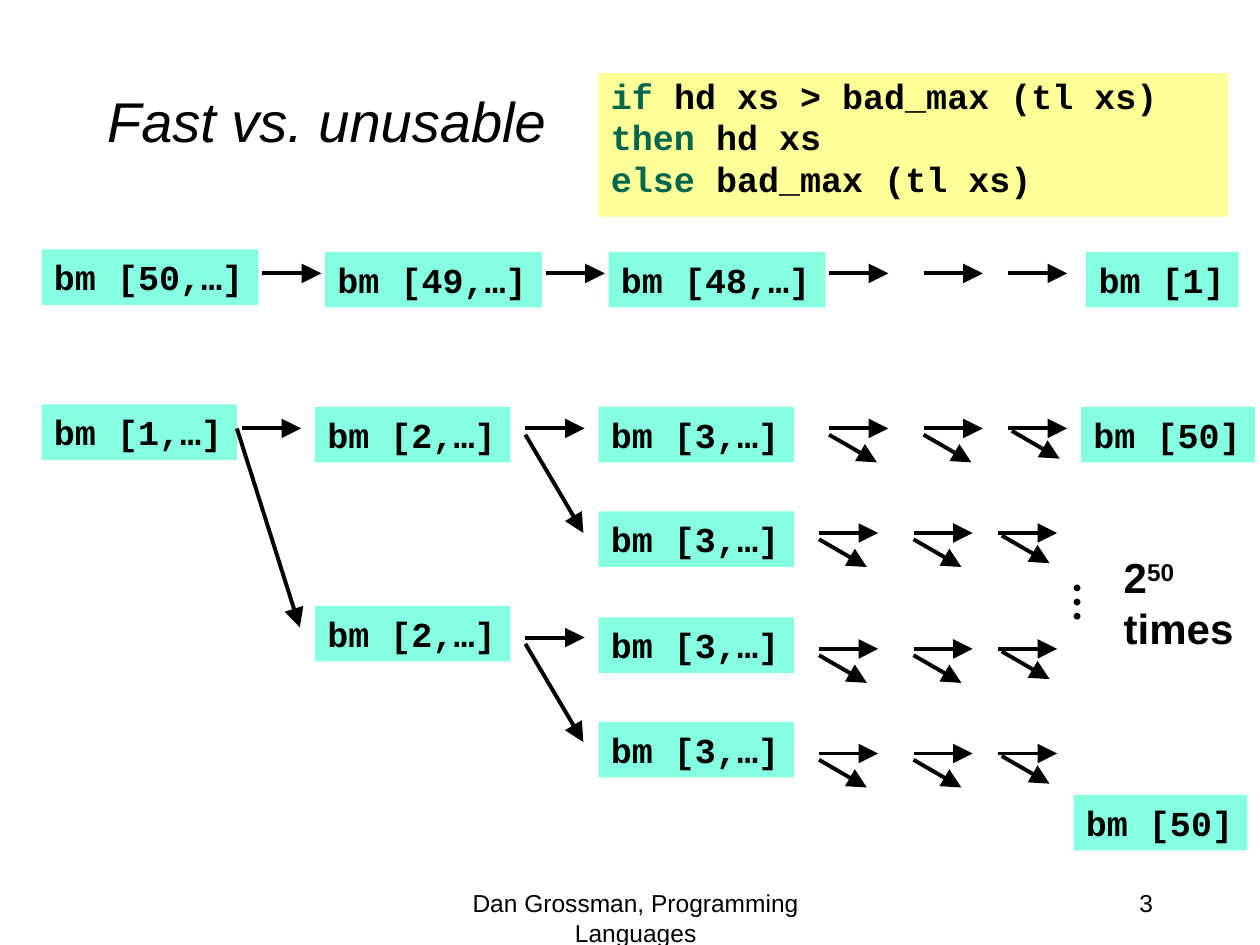
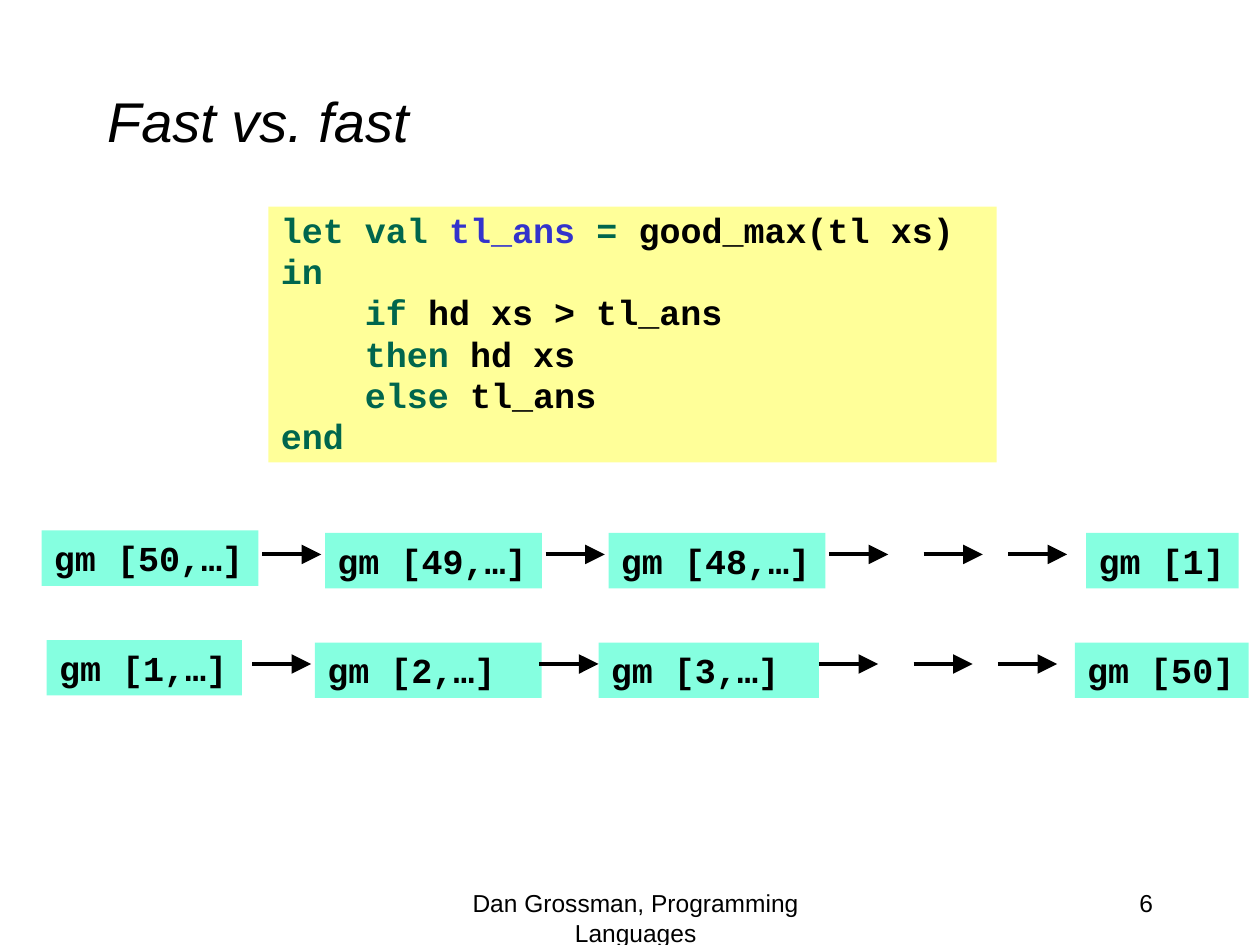
"""Build two slides that compare the call counts of bad_max and good_max."""
from dataclasses import dataclass
from typing import Any

from lxml import etree
from pptx import Presentation
from pptx.dml.color import RGBColor
from pptx.enum.shapes import MSO_CONNECTOR, MSO_SHAPE
from pptx.enum.text import MSO_ANCHOR, MSO_AUTO_SIZE, PP_ALIGN
from pptx.oxml.ns import qn
from pptx.util import Emu, Pt

RECTANGLE = MSO_SHAPE.RECTANGLE
STRAIGHT = MSO_CONNECTOR.STRAIGHT
TOP, MIDDLE = MSO_ANCHOR.TOP, MSO_ANCHOR.MIDDLE
LEFT, CENTER, RIGHT = PP_ALIGN.LEFT, PP_ALIGN.CENTER, PP_ALIGN.RIGHT
NO_FIT = MSO_AUTO_SIZE.NONE

EMU_PER_PX = 9144
BLACK, KEYWORD, NAME = "000000", "00664D", "3333CC"
CALL_FILL, CODE_FILL = "85FFE0", "FFFF99"
TITLE_FONT = {"name": "Arial", "size": Pt(32), "italic": True}
FOOTER_FONT = {"name": "Arial", "size": Pt(14)}
CODE_FONT = {"name": "Courier New", "size": Pt(20), "bold": True}
COUNT_FONT = {"name": "Arial", "size": Pt(24), "bold": True}
DOTS_FONT = {"name": "Times New Roman", "size": Pt(24), "bold": True}
ARROWHEAD = {"type": "triangle", "w": "lg", "len": "lg"}
FOOTER = "Dan Grossman, Programming Languages"
CALL_HEIGHT = 44
ARROW_LENGTH = 47
TAIL_STEPS = (0, 75, 142)
BRANCH_STEPS = ((0, 5), (75, 5), (145, 2))


@dataclass(frozen=True)
class Area:
    left: int
    top: int
    width: int
    height: int


@dataclass(frozen=True)
class Span:
    text: str
    color: str = BLACK
    raised: bool = False


@dataclass(frozen=True)
class Call:
    text: str
    left: int
    width: int = 0


@dataclass(frozen=True)
class CallRow:
    level: int
    calls: tuple[Call, ...]
    arrows: tuple[int, ...]
    tail: int


Line = tuple[Span, ...]

TITLE_AREA = Area(75, 33, 850, 125)
NUMBER_AREA = Area(717, 700, 208, 50)
FOOTER_AREA = Area(317, 700, 375, 50)

BAD_CODE: tuple[Line, ...] = (
    (Span("if ", KEYWORD), Span("hd xs > bad_max (tl xs)")),
    (Span("then ", KEYWORD), Span("hd xs")),
    (Span("else ", KEYWORD), Span("bad_max (tl xs)")),
)
GOOD_CODE: tuple[Line, ...] = (
    (Span("let val ", KEYWORD), Span("tl_ans ", NAME), Span("= ", KEYWORD),
     Span("good_max(tl xs)")),
    (Span("in", KEYWORD),),
    (Span("    if ", KEYWORD), Span("hd xs > tl_ans")),
    (Span("    then ", KEYWORD), Span("hd xs")),
    (Span("    else ", KEYWORD), Span("tl_ans")),
    (Span("end", KEYWORD),),
)


def px(length: int) -> Emu:
    """Turn px into EMU."""
    return Emu(length * EMU_PER_PX)


def rgb(color: str) -> RGBColor:
    """Turn a hex string into a colour."""
    return RGBColor.from_string(color)


def apply(target: Any, values: dict[str, Any]) -> None:
    """Set each named attribute on the target."""
    for name, value in values.items():
        setattr(target, name, value)


def place(area: Area) -> tuple[Emu, ...]:
    """Give an area as the four EMU lengths of a shape."""
    return tuple(px(length) for length in
                 (area.left, area.top, area.width, area.height))


def write(box: Any, lines: tuple[Line, ...], font: dict[str, Any],
          frame: dict[str, Any] | None = None,
          para_format: dict[str, Any] | None = None, gap: float = 0) -> None:
    """Fill a shape with formatted lines of text."""
    apply(box.text_frame, {"word_wrap": True, "auto_size": NO_FIT,
                           "vertical_anchor": TOP, **(frame or {})})
    for index, line in enumerate(lines):
        para = (box.text_frame.add_paragraph() if index
                else box.text_frame.paragraphs[0])
        apply(para, {"alignment": LEFT, "space_before": Pt(gap if index else 0),
                     **(para_format or {})})
        for span in line:
            run = para.add_run()
            run.text = span.text
            apply(run.font, font)
            run.font.color.rgb = rgb(span.color)
            if span.raised:
                run.font._element.set("baseline", "30000")


def add_label(page: Any, area: Area, lines: tuple[Line, ...],
              font: dict[str, Any], **options: Any) -> Any:
    """Add a plain text box."""
    box = page.shapes.add_textbox(*place(area))
    write(box, lines, font, **options)
    return box


def add_panel(page: Any, area: Area, fill: str, lines: tuple[Line, ...],
              **options: Any) -> None:
    """Add a filled rectangle with code in it."""
    panel = page.shapes.add_shape(RECTANGLE, *place(area))
    panel.shadow.inherit = False
    panel.fill.solid()
    panel.fill.fore_color.rgb = rgb(fill)
    panel.line.fill.background()
    write(panel, lines, CODE_FONT, **options)


def add_code(page: Any, area: Area, lines: tuple[Line, ...]) -> None:
    """Add a yellow code listing."""
    add_panel(page, area, CODE_FILL, lines,
              para_format={"line_spacing": 0.9}, gap=2)


def add_call(page: Any, call: Call, top: int) -> None:
    """Add a call box, as wide as its text unless a width is given."""
    width = call.width or 17 * len(call.text) + 19
    add_panel(page, Area(call.left, top, width, CALL_HEIGHT), CALL_FILL,
              ((Span(call.text),),), frame={"word_wrap": False})


def add_arrow(page: Any, left: int, top: int, across: int = ARROW_LENGTH,
              down: int = 0) -> None:
    """Add an arrow from a point, going across and down."""
    arrow = page.shapes.add_connector(
        STRAIGHT, px(left), px(top), px(left + across), px(top + down))
    arrow.line.color.rgb = rgb(BLACK)
    arrow.line.width = Pt(2.25)
    etree.SubElement(arrow.line._get_or_add_ln(), qn("a:tailEnd"), ARROWHEAD)
    etree.SubElement(arrow.element.spPr, qn("a:effectLst"))


def add_tail(page: Any, left: int, level: int, branching: bool = False) -> None:
    """Add three arrows that stand for further calls."""
    for step in TAIL_STEPS:
        add_arrow(page, left + step, level)
    if branching:
        for step, drop in BRANCH_STEPS:
            add_arrow(page, left + step, level + drop, 38, 22)


def add_call_row(page: Any, row: CallRow, branching: bool = False) -> None:
    """Add a chain of calls, the first one slightly higher."""
    for index, call in enumerate(row.calls):
        add_call(page, call, row.level - (17 if index else 19))
    for left in row.arrows:
        add_arrow(page, left, row.level)
    add_tail(page, row.tail, row.level, branching)


def countdown(name: str, level: int) -> CallRow:
    """Give the chain of calls for a list that starts at 50."""
    calls = tuple(Call(f"{name} [{50 - index},…]", left)
                  for index, left in enumerate((33, 258, 483)))
    return CallRow(level, (*calls, Call(f"{name} [1]", 862)), (208, 433), 658)


def add_page(deck: Any, title: str, number: int) -> Any:
    """Add a slide with its title, number and footer."""
    page = deck.slides.add_slide(deck.slide_layouts[5])
    heading = page.shapes.title
    names = ("left", "top", "width", "height")
    apply(heading, dict(zip(names, place(TITLE_AREA))))
    write(heading, ((Span(title),),), TITLE_FONT,
          frame={"vertical_anchor": MIDDLE})
    for area, text, align in ((NUMBER_AREA, str(number), RIGHT),
                              (FOOTER_AREA, FOOTER, CENTER)):
        add_label(page, area, ((Span(text),),), FOOTER_FONT,
                  para_format={"alignment": align})
    return page


def build_unusable(deck: Any) -> None:
    """Build the slide on the exponential bad_max."""
    page = add_page(deck, "Fast vs. unusable", 3)
    add_code(page, Area(475, 58, 500, 114), BAD_CODE)
    add_call_row(page, countdown("bm", 217))
    countup = CallRow(340, (Call("bm [1,…]", 33), Call("bm [2,…]", 250),
                            Call("bm [3,…]", 475), Call("bm [50]", 858)),
                      (192, 417), 658)
    add_call_row(page, countup, branching=True)
    add_call(page, Call("bm [2,…]", 250), 481)
    for top, level in ((406, 423), (490, 515), (573, 598)):
        add_call(page, Call("bm [3,…]", 475), top)
        add_tail(page, 650, level, branching=True)
    add_call(page, Call("bm [50]", 852), 631)
    add_arrow(page, 188, 340, 50, 158)
    add_arrow(page, 417, 506)
    for level in (345, 511):
        add_arrow(page, 417, level, 46, 78)
    dots = add_label(page, Area(839, 454, 54, 50), ((Span("…"),),), DOTS_FONT,
                     frame={"word_wrap": False})
    dots.rotation = 90
    add_label(page, Area(882, 433, 108, 91),
              ((Span("2"), Span("50", raised=True)), (Span("times"),)),
              COUNT_FONT, frame={"word_wrap": False})


def build_fast(deck: Any) -> None:
    """Build the slide on the linear good_max."""
    page = add_page(deck, "Fast vs. fast", 6)
    add_code(page, Area(213, 164, 578, 203), GOOD_CODE)
    add_call_row(page, countdown("gm", 440))
    add_call_row(page, CallRow(
        527, (Call("gm [1,…]", 37), Call("gm [2,…]", 250, 180),
              Call("gm [3,…]", 475, 175), Call("gm [50]", 853)),
        (200, 428), 650))


def main() -> None:
    """Build and save the deck."""
    deck = Presentation()
    deck.slide_width, deck.slide_height = px(1000), px(750)
    build_unusable(deck)
    build_fast(deck)
    deck.save("out.pptx")


if __name__ == "__main__":
    main()
